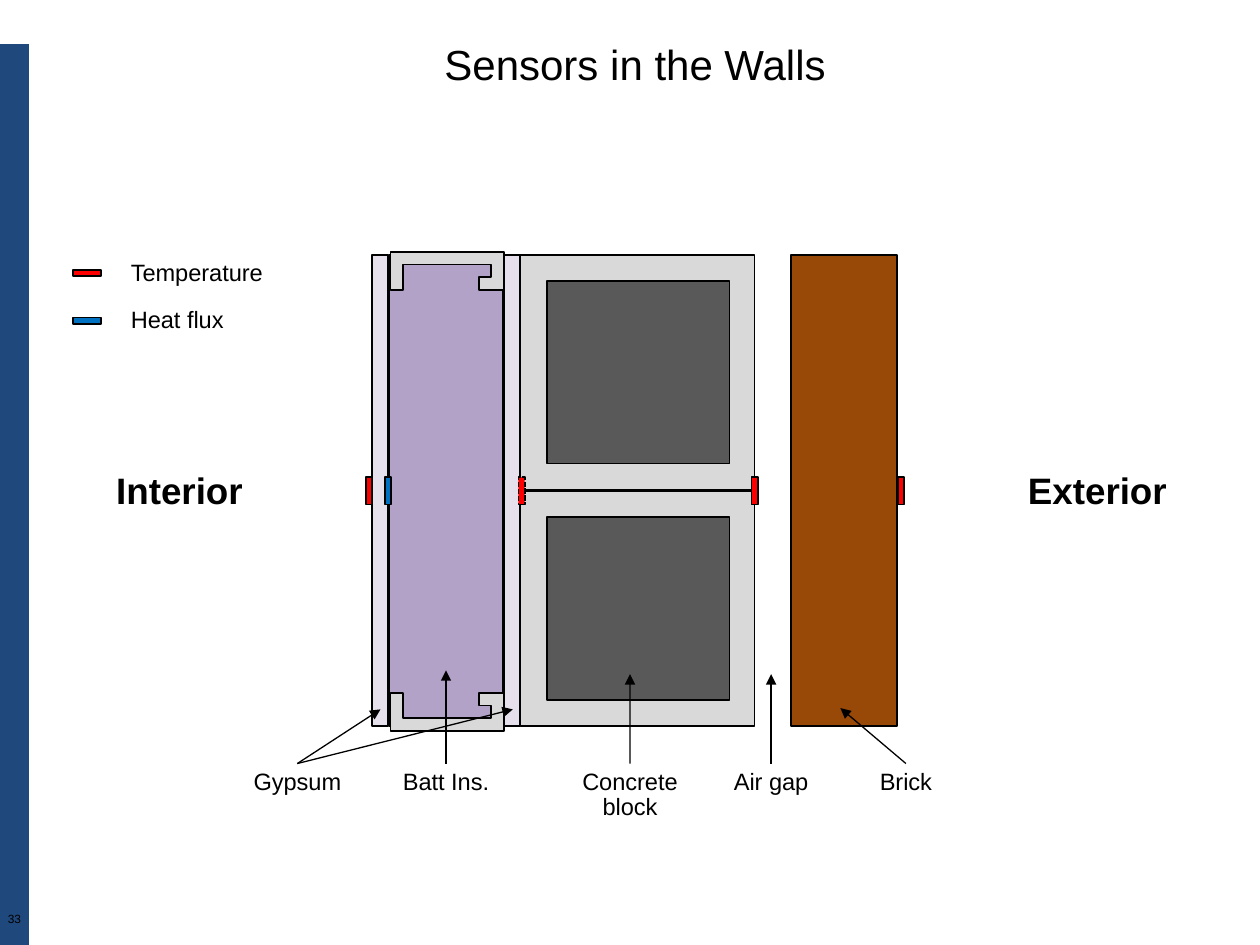
from pptx import Presentation
from pptx.util import Inches, Pt
from pptx.dml.color import RGBColor as RGB
from pptx.enum.dml import MSO_LINE as Dash
from pptx.enum.shapes import MSO_SHAPE as Shape, MSO_CONNECTOR as Link
from pptx.enum.text import PP_ALIGN as Align, MSO_AUTO_SIZE as Auto
from pptx.oxml.ns import qn
from lxml.etree import SubElement as Sub

BLACK = RGB(0x00, 0x00, 0x00)
NAVY = RGB(0x1F, 0x49, 0x7D)
LILAC = RGB(0xB3, 0xA2, 0xC7)
PALE = RGB(0xE6, 0xE0, 0xEC)
GREY = RGB(0xD9, 0xD9, 0xD9)
DARK = RGB(0x59, 0x59, 0x59)
BROWN = RGB(0x98, 0x48, 0x07)
RED = RGB(0xFF, 0x00, 0x00)
BLUE = RGB(0x00, 0x70, 0xC0)

# Grid of 100 columns and 75 rows; one unit is one cell
COLS, ROWS = 100, 75
deck = Presentation()
deck.slide_width, deck.slide_height = Inches(10), Inches(7.5)
UNIT = deck.slide_width / COLS
slide = deck.slides.add_slide(deck.slide_layouts[6])
shapes = slide.shapes


def box(x, y, w, h, fill, line=True):
    part = shapes.add_shape(Shape.RECTANGLE, *(int(v * UNIT) for v in (x, y, w, h)))
    part.shadow.inherit = False
    part.fill.solid()
    part.fill.fore_color.rgb = fill
    if line:
        part.line.color.rgb = BLACK
        part.line.width = Pt(1)
    else:
        part.line.fill.background()
    return part


def label(text, x, y, w, h, size=13.5, align=Align.CENTER, bold=False):
    part = shapes.add_textbox(*(int(v * UNIT) for v in (x, y, w, h)))
    frame = part.text_frame
    frame.word_wrap = True
    frame.auto_size = Auto.SHAPE_TO_FIT_TEXT
    frame.text = text
    para = frame.paragraphs[0]
    para.alignment, para.line_spacing = align, 0.9
    font = para.runs[0].font
    font.name, font.size, font.bold = "Arial", Pt(size), bold
    font.color.rgb = BLACK
    return part


# Side bar, page number and title
box(0, 3.5, 2.3, ROWS - 3.5, NAVY, line=False)
page = label("33", 0, 72.5, 2.3, 1.7, 6.8).text_frame
page.auto_size = Auto.NONE
page.margin_left = page.margin_right = page.margin_top = page.margin_bottom = 0
label("Sensors in the Walls", 3.5, 3, 93.8, 5.9, 24).text_frame.auto_size = Auto.NONE

# Insulation
TOP, TALL = 20.25, 37.4
MID = TOP + TALL / 2
box(30.85, TOP, 9.1, TALL, LILAC)

# Steel tracks: the same outline at the bottom and, mirrored, at the top
track = [(40, 54.9), (40, 57.6), (30.9, 57.6), (30.9, 54.9), (32.5, 54.9), (32.5, 55.8),
         (31.8, 55.8), (31.8, 56.8), (39, 56.8), (39, 55.8), (38.4, 55.8), (38.4, 54.9)]
for flip in (False, True):
    dots = [(x, 2 * MID - y if flip else y) for x, y in track]
    pen = shapes.build_freeform(*dots[0], scale=UNIT)
    pen.add_line_segments(dots[1:], close=True)
    steel = pen.convert_to_shape()
    steel.shadow.inherit = False
    steel.fill.solid()
    steel.fill.fore_color.rgb = GREY
    steel.line.color.rgb = BLACK
    steel.line.width = Pt(1)

# Concrete blocks with their hollow cores
for y in (TOP, TOP + 18.75):
    box(41.3, y, 18.6, 18.6, GREY)
    box(43.4, y + 2.05, 14.5, 14.5, DARK)

# Brick and the two gypsum boards
box(62.8, TOP, 8.4, TALL, BROWN)
for x in (40, 29.5):
    box(x, TOP, 1.3, TALL, PALE)

# Sensors in the wall, by centre line
LONG, THIN = 2.2, 0.5
for x, fill, dash in ((29.3, RED, False), (41.4, RED, True), (59.9, RED, False),
                      (71.5, RED, False), (30.8, BLUE, False)):
    chip = box(x - THIN / 2, MID - LONG / 2, THIN, LONG, fill)
    if dash:
        chip.line.dash_style = Dash.SQUARE_DOT

# Legend
for row, (name, fill) in enumerate((("Temperature", RED), ("Heat flux", BLUE))):
    y = 20.2 + 3.8 * row
    box(5.8, y + 1.2, LONG, THIN, fill)
    label(name, 9.4, y, 14.2, 3.1, align=Align.LEFT)

# Sides of the wall
label("Interior", 8.1, 37, 12.3, 4.2, 21, bold=True)
label("Exterior", 80.3, 37, 13.6, 4.2, 21, bold=True)

# Layer names, each with arrows from its top to the layer
WIDE, FOOT = 10.4, 60.6
for name, x, high, tips in (
        ("Gypsum", 23.6, 3.1, [(30.2, 56.3), (40.7, 56.3)]),
        ("Batt Ins.", 35.4, 3.1, [(35.4, 53.2)]),
        ("Concrete block", 50, 5.1, [(50, 53.5)]),
        ("Air gap", 61.2, 3.1, [(61.2, 53.5)]),
        ("Brick", 71.9, 3.1, [(66.7, 56.2)])):
    tag = label(name, x - WIDE / 2, FOOT, WIDE, high)
    for tip in tips:
        ends = (int(v * UNIT) for v in (x, FOOT, *tip))
        arrow = shapes.add_connector(Link.STRAIGHT, *ends)
        arrow.begin_connect(tag, 0)
        arrow.line.color.rgb = BLACK
        arrow.line.width = Pt(0.75)
        Sub(arrow.line._get_or_add_ln(), qn("a:tailEnd"), type="triangle")
        Sub(arrow._element.spPr, qn("a:effectLst"))

deck.save("out.pptx")
